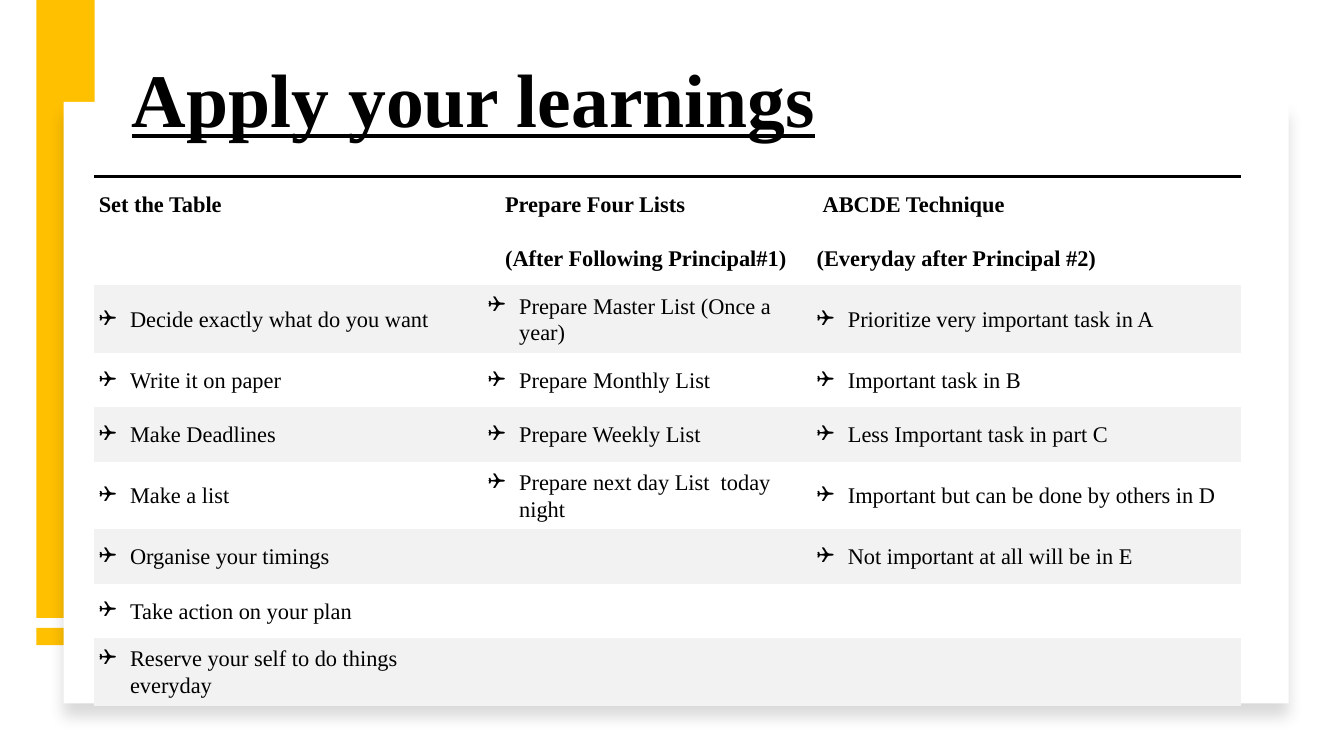
from lxml import etree
from pptx import Presentation
from pptx.dml.color import RGBColor
from pptx.enum.shapes import MSO_SHAPE
from pptx.enum.text import MSO_ANCHOR
from pptx.oxml.ns import qn
from pptx.util import Inches, Pt

RECTANGLE = MSO_SHAPE.RECTANGLE
BOTTOM, MIDDLE = MSO_ANCHOR.BOTTOM, MSO_ANCHOR.MIDDLE

BLACK = RGBColor(0, 0, 0)
WHITE = RGBColor(255, 255, 255)
AMBER = RGBColor(0xFF, 0xC0, 0x00)
BAND_GRAY = RGBColor(0xF2, 0xF2, 0xF2)
FONT = "Times New Roman"
PLAIN_TABLE_STYLE = "{2D5ABB26-0587-4C30-8999-92F81FD0307C}"

COLUMN_WIDTHS = (3.86, 3.26, 4.26)
HEADER_INDENTS = (0, 0.17, 0.06), (0, 0.17, 0)
HEADERS = [
    ("Set the Table", "Prepare Four Lists", "ABCDE Technique"),
    ("", "(After Following Principal#1)", "(Everyday after Principal #2)"),
]
TASKS = [
    ("Decide exactly what do you want", "Prepare Master List (Once a year)",
     "Prioritize very important task in A"),
    ("Write it on paper", "Prepare Monthly List", "Important task in B"),
    ("Make Deadlines", "Prepare Weekly List", "Less Important task in part C"),
    ("Make a list", "Prepare next day List  today night",
     "Important but can be done by others in D"),
    ("Organise your timings", "", "Not important at all will be in E"),
    ("Take action on your plan", "", ""),
    ("Reserve your self to do things everyday", "", ""),
]


def add_xml(parent, tag, **attributes):
    return etree.SubElement(parent, qn(tag), attributes)


def add_text(paragraph, text, size, bold=False, underline=False):
    run = paragraph.add_run()
    run.text = text
    run.font.name = FONT
    run.font.size = Pt(size)
    run.font.bold = bold
    run.font.underline = underline
    run.font.color.rgb = BLACK


def add_panel(slide, left, top, width, height, color):
    panel = slide.shapes.add_shape(
        RECTANGLE, Inches(left), Inches(top), Inches(width), Inches(height))
    panel.shadow.inherit = False
    panel.fill.solid()
    panel.fill.fore_color.rgb = color
    panel.line.fill.background()
    return panel


def add_backdrop(slide, left, top, width):
    # Amber side bar with its short foot
    for offset, height in ((6.23, 0.17), (0, 6.13)):
        add_panel(slide, left, top + offset, width, height, AMBER)
    # White card with a soft shadow below
    card = add_panel(slide, left + 0.27, top + 1.01, 12.15, 5.97, WHITE)
    effects = card._element.spPr.find(qn("a:effectLst"))
    shadow = add_xml(effects, "a:outerShdw", blurRad=str(Pt(11)),
                     dist=str(Pt(10)), dir="5400000", algn="t", rotWithShape="0")
    color = add_xml(shadow, "a:srgbClr", val=str(BLACK))
    add_xml(color, "a:alpha", val="15000")


def add_title(slide, left, top, width, height):
    title = slide.shapes.add_textbox(
        Inches(left), Inches(top), Inches(width), Inches(height))
    frame = title.text_frame
    frame.word_wrap = True
    frame.vertical_anchor = BOTTOM
    paragraph = frame.paragraphs[0]
    paragraph.line_spacing = 0.9
    add_text(paragraph, "Apply your learnings", 54, bold=True, underline=True)


def add_checkbox(paragraph):
    properties = paragraph._p.get_or_add_pPr()
    properties.set("marL", str(Inches(0.31)))
    properties.set("indent", str(-Inches(0.31)))
    add_xml(properties, "a:buFont", typeface="Wingdings")
    add_xml(properties, "a:buChar", char="❑")


def add_top_border(cell):
    properties = cell._tc.get_or_add_tcPr()
    border = etree.Element(qn("a:lnT"), w=str(Pt(2.25)))
    fill = add_xml(border, "a:solidFill")
    add_xml(fill, "a:srgbClr", val=str(BLACK))
    properties.insert(0, border)


def fill_cell(cell, text, row, column):
    is_header = row < len(HEADERS)
    cell.vertical_anchor = MIDDLE
    cell.margin_left = cell.margin_right = Inches(0.05)
    cell.margin_top = cell.margin_bottom = Inches(0.05)
    if not is_header and row % 2 == 0:
        cell.fill.solid()
        cell.fill.fore_color.rgb = BAND_GRAY
    else:
        cell.fill.background()
    if row == 0:
        add_top_border(cell)
    if not text:
        return
    paragraph = cell.text_frame.paragraphs[0]
    paragraph.line_spacing = 1.07
    if is_header:
        indent = Inches(HEADER_INDENTS[row][column])
        paragraph._p.get_or_add_pPr().set("marL", str(indent))
    else:
        add_checkbox(paragraph)
    add_text(paragraph, text, 16, bold=is_header)


def add_checklist(slide, left, top, row_height):
    rows = HEADERS + TASKS
    table = slide.shapes.add_table(
        len(rows), len(COLUMN_WIDTHS), Inches(left), Inches(top),
        Inches(sum(COLUMN_WIDTHS)), Inches(row_height * len(rows))).table
    table.first_row = table.horz_banding = False
    table._tbl.tblPr.find(qn("a:tableStyleId")).text = PLAIN_TABLE_STYLE
    for column, width in zip(table.columns, COLUMN_WIDTHS):
        column.width = Inches(width)
    for row, texts in enumerate(rows):
        table.rows[row].height = Inches(row_height)
        for column, text in enumerate(texts):
            fill_cell(table.cell(row, column), text, row, column)


def main():
    presentation = Presentation()
    presentation.slide_width = Inches(13.33)
    presentation.slide_height = Inches(7.5)
    slide = presentation.slides.add_slide(presentation.slide_layouts[6])
    add_backdrop(slide, 0.36, 0, 0.58)
    add_title(slide, 1.21, 0, 10.77, 1.48)
    add_checklist(slide, 0.93, 1.75, 0.54)
    presentation.save("out.pptx")


if __name__ == "__main__":
    main()
